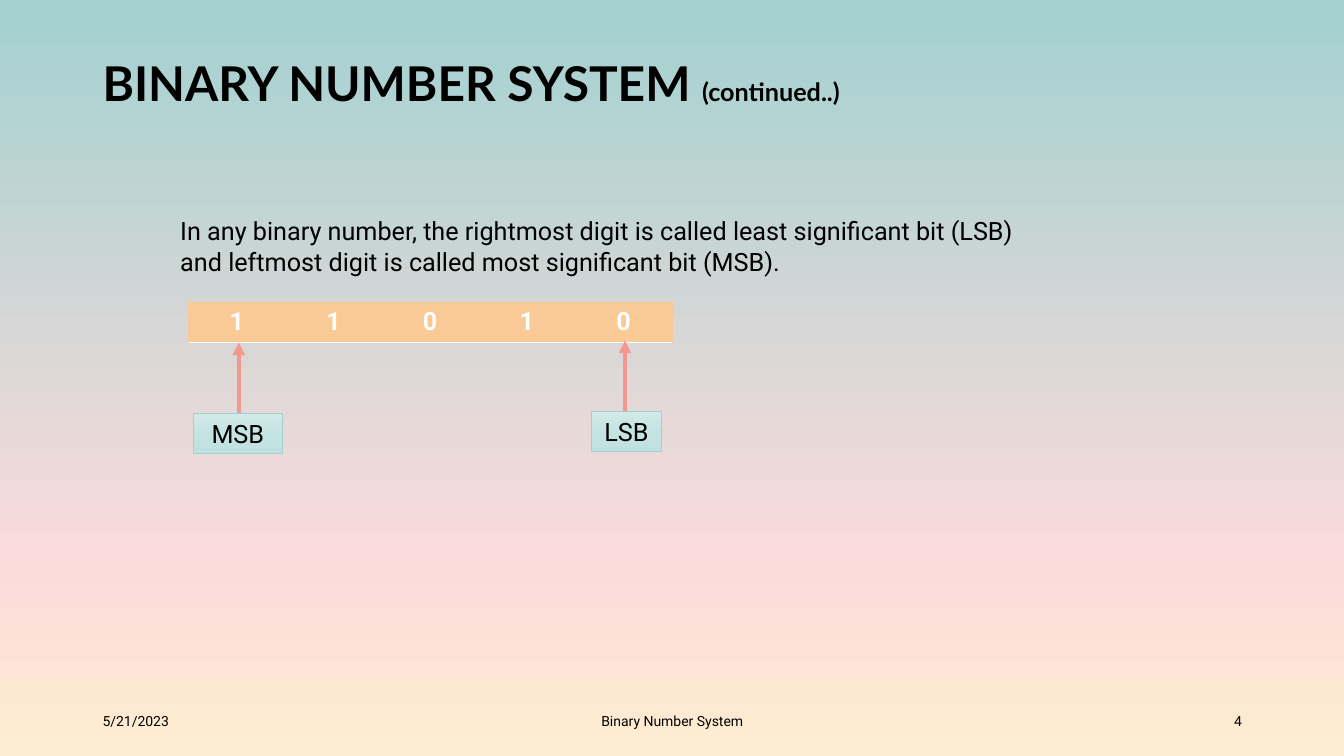
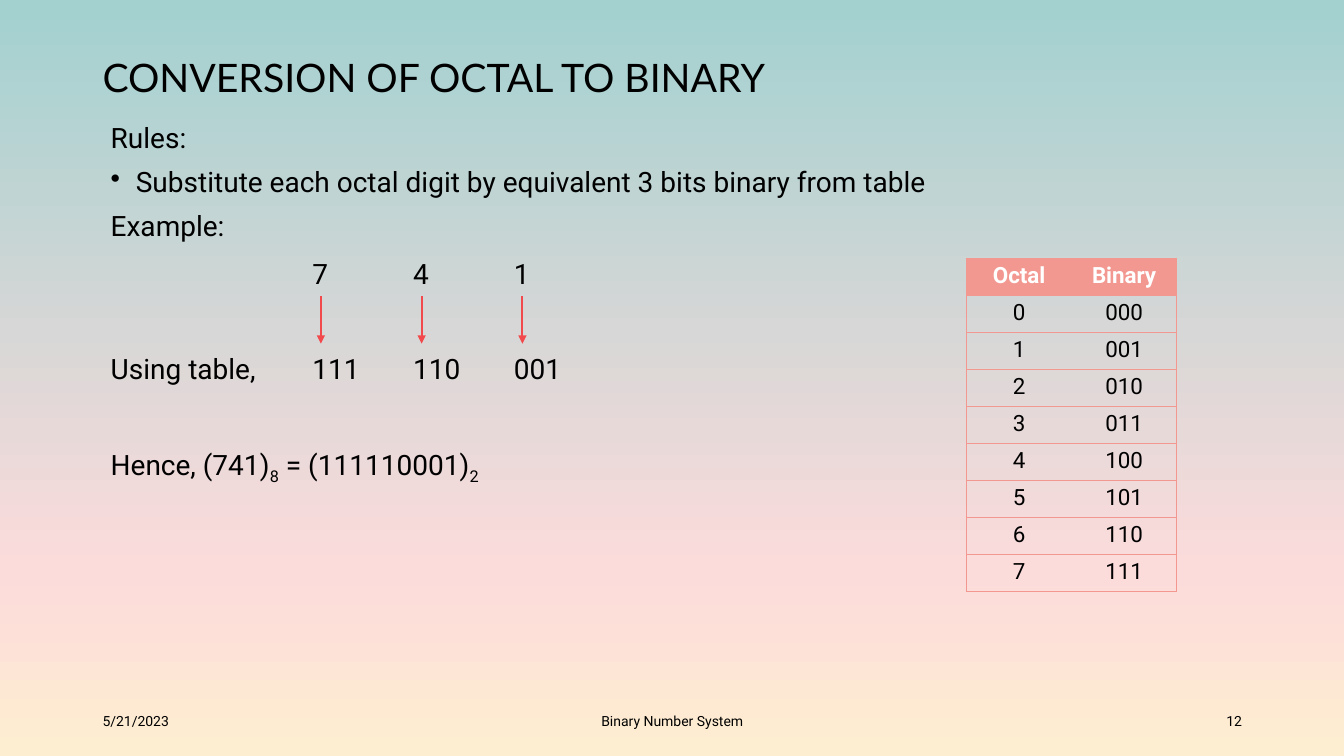
import pptx
import pptx.util
from pptx.dml.color import RGBColor
from pptx.enum.shapes import MSO_CONNECTOR, MSO_SHAPE
from pptx.enum.text import MSO_ANCHOR, PP_ALIGN
from pptx.oxml import parse_xml
from pptx.oxml.ns import nsdecls, qn
from pptx.util import Pt


class Theme:
    heading, text = "Lato", "Roboto"
    ink, white = "000000", "FFFFFF"
    coral, red, orange, teal = "F39891", "F2494C", "F9C996", "9FD1D0"
    backdrop = [(1, "A3D1D0"), (75, "FCDBDB"), (100, "FEEED1")]
    label = [(0, "D2E9E9"), (50, "C6E3E3"), (100, "BEE1E0")]
    footer_size, cell_size, note_size, body_size = 10, 16, 18, 20
    title_size, big_title_size = 28, 34.2
    margin, inset = 66.2, 7.2


FOOTERS = [  # left, width, alignment
    (Theme.margin, 216, PP_ALIGN.LEFT),
    (318.2, 324, PP_ALIGN.CENTER),
    (678.2, 216, PP_ALIGN.RIGHT),
]
DATE, SUBJECT = "5/21/2023", "Binary Number System"

BIT_TITLE = [("BINARY NUMBER SYSTEM ", {}), ("(continued..)", {"size": Theme.note_size})]
BIT_NOTE = ("In any binary number, the rightmost digit is called least significant bit (LSB) "
            "and leftmost digit is called most significant bit (MSB).")
BITS = [["1", "1", "0", "1", "0"]]
BIT_LABELS = [  # text, left, top, width, arrow x
    ("LSB", 422.6, 293.8, 49.7, 446.4),
    ("MSB", 138.2, 295.2, 63.4, 170.6),
]
BIT_ARROW_LENGTH = 50.5

OCTAL_TITLE = "CONVERSION OF OCTAL TO BINARY"
BODY_LEFT = 72
TABS = [144, 216, 288]
WIDE_GAP = 44
RULES = [  # content, paragraph options
    ("Rules:", {"leading": 0.9}),
    ("Substitute each octal digit by equivalent 3 bits binary from table",
     {"leading": 0.9, "bullet": True}),
    ("Example:", {"leading": 0.9}),
    ("\t7\t4\t1", {"tabs": TABS}),
    ("Using table,\t111\t110\t001", {"tabs": TABS, "before": WIDE_GAP}),
    ([("Hence, (741)", {}), ("8", {"baseline": -25}), (" = (111110001)", {}),
      ("2", {"baseline": -25})], {"before": WIDE_GAP}),
]
OCTAL_ROWS = [["Octal", "Binary"]] + [[str(n), f"{n:03b}"] for n in range(8)]


def rgb(value):
    return RGBColor.from_string(value)


def add_xml(parent, tag, body="", **attributes):
    listed = " ".join(f'{key}="{value}"' for key, value in attributes.items())
    element = parse_xml(f'<a:{tag} {nsdecls("a")} {listed}>{body}</a:{tag}>')
    parent.append(element)
    return element


def set_gradient(fill, owner, stops):
    """Fill from top to bottom; owner is the element that holds the fill."""
    fill.gradient()
    fill.gradient_angle = 270
    stop_list = next(owner.iter(qn("a:gsLst")))
    for stop in list(stop_list):
        stop_list.remove(stop)
    for position, color in stops:
        add_xml(stop_list, "gs", f'<a:srgbClr val="{color}"/>', pos=position * 1000)


def write(para, content, size, font=Theme.text, color=Theme.ink, bold=False,
          align=PP_ALIGN.LEFT, leading=1.0, before=0, bullet=False, tabs=()):
    """Content is a string, or a list of (text, run options)."""
    properties = para._p.get_or_add_pPr()
    if bullet:
        properties.set("marL", str(Pt(18)))
        properties.set("indent", str(Pt(-18)))
        add_xml(properties, "buChar", char="•")
    if tabs:
        stops = "".join(f'<a:tab pos="{Pt(tab)}" algn="l"/>' for tab in tabs)
        add_xml(properties, "tabLst", stops)
    para.alignment, para.line_spacing, para.space_before = align, leading, Pt(before)
    para.font.name, para.font.size, para.font.bold = font, Pt(size), bold
    para.font.color.rgb = rgb(color)
    for text, options in [(content, {})] if isinstance(content, str) else content:
        span = para.add_run()
        span.text = text
        if "size" in options:
            span.font.size = Pt(options["size"])
        if "baseline" in options:
            span.font._element.set("baseline", str(options["baseline"] * 1000))


def add_text(page, left, top, width, height, paragraphs, anchor=MSO_ANCHOR.TOP, **style):
    box = page.shapes.add_textbox(Pt(left), Pt(top), Pt(width), Pt(height))
    frame = box.text_frame
    frame.word_wrap, frame.vertical_anchor = True, anchor
    for index, (content, options) in enumerate(paragraphs):
        para = frame.add_paragraph() if index else frame.paragraphs[0]
        write(para, content, **{**style, **options})


def add_page(deck, title, number, width, height, size, bold=False):
    page = deck.slides.add_slide(deck.slide_layouts[6])
    add_text(page, Theme.margin, 28.8, width, height, [(title, {})], MSO_ANCHOR.MIDDLE,
             size=size, font=Theme.heading, bold=bold, leading=0.9)
    for text, (left, span, align) in zip((DATE, SUBJECT, str(number)), FOOTERS):
        add_text(page, left, 500.4, span, 28.8, [(text, {})], MSO_ANCHOR.MIDDLE,
                 size=Theme.footer_size, align=align)
    return page


def add_arrow(page, x, start, end, color, weight):
    arrow = page.shapes.add_connector(MSO_CONNECTOR.STRAIGHT, Pt(x), Pt(start), Pt(x), Pt(end))
    arrow.line.color.rgb, arrow.line.width = rgb(color), Pt(weight)
    add_xml(arrow.line._get_or_add_ln(), "tailEnd", type="triangle")
    add_xml(arrow._element.spPr, "effectLst")


def set_borders(cell, borders):
    """Borders maps L, R, T and B to (color, weight)."""
    properties = cell._tc.get_or_add_tcPr()
    sides = [side for side in "LRTB" if side in borders]
    for index, side in enumerate(sides):
        color, weight = borders[side]
        line = add_xml(properties, f"ln{side}",
                       f'<a:solidFill><a:srgbClr val="{color}"/></a:solidFill>', w=Pt(weight))
        properties.insert(index, line)


def add_grid(page, rows, left, top, column, height, size, head_fill, edge, base):
    """Table with a filled head row, side edges, and lines between and under rows."""
    count = len(rows[0])
    frame = page.shapes.add_table(len(rows), count, Pt(left), Pt(top),
                                  Pt(column * count), Pt(height * len(rows)))
    table = frame.table
    table.horz_banding = table.first_row = False
    no_grid = "{2D5ABB26-0587-4C30-8999-92F81FD0307C}"
    next(table._tbl.iter(qn("a:tableStyleId"))).text = no_grid
    for r, row in enumerate(rows):
        table.rows[r].height = Pt(height)
        for c, text in enumerate(row):
            table.columns[c].width = Pt(column)
            cell = table.cell(r, c)
            head = r == 0
            write(cell.text_frame.paragraphs[0], text, size, bold=head,
                  color=Theme.white if head else Theme.ink, align=PP_ALIGN.CENTER)
            if head:
                cell.fill.solid()
                cell.fill.fore_color.rgb = rgb(head_fill)
            else:
                cell.fill.background()
            borders = {"T": edge if head else base, "B": base}
            if c == 0:
                borders["L"] = edge
            if c == count - 1:
                borders["R"] = edge
            set_borders(cell, borders)


def add_label(page, text, left, top, width):
    box = page.shapes.add_shape(MSO_SHAPE.RECTANGLE, Pt(left), Pt(top), Pt(width), Pt(28.8))
    box.shadow.inherit = False
    set_gradient(box.fill, box._element.spPr, Theme.label)
    box.line.color.rgb, box.line.width = rgb(Theme.teal), Pt(0.5)
    box.text_frame.word_wrap = False
    box.text_frame.vertical_anchor = MSO_ANCHOR.TOP
    write(box.text_frame.paragraphs[0], text, Theme.note_size, align=PP_ALIGN.CENTER)


def build_bits_page(deck):
    page = add_page(deck, BIT_TITLE, 4, 604.8, 64.8, Theme.big_title_size, bold=True)
    add_text(page, 121.7, 150.5, 616.3, 51, [(BIT_NOTE, {})], size=Theme.note_size)
    add_grid(page, BITS, 134.6, 216, 69.1, 28.8, Theme.note_size, Theme.orange,
             edge=(Theme.orange, 0.5), base=(Theme.white, 1))
    for text, left, top, width, arrow_x in BIT_LABELS:
        add_arrow(page, arrow_x, top, top - BIT_ARROW_LENGTH, Theme.coral, 3)
        add_label(page, text, left, top, width)


def build_octal_page(deck):
    page = add_page(deck, OCTAL_TITLE, 12, 828, 56.2, Theme.title_size)
    add_text(page, BODY_LEFT, 85, 815.8, 401.8, RULES, size=Theme.body_size, before=10)
    rule = (Theme.coral, 0.5)
    add_grid(page, OCTAL_ROWS, 690.5, 184.3, 75, 25.8, Theme.cell_size, Theme.coral,
             edge=rule, base=rule)
    half_digit = 6
    for tab in TABS:
        add_arrow(page, BODY_LEFT + Theme.inset + tab + half_digit, 211.7, 245.5, Theme.red, 1.5)


def main():
    deck = pptx.Presentation()
    deck.slide_width, deck.slide_height = Pt(960), Pt(540)
    master = deck.slide_master
    set_gradient(master.background.fill, master._element, Theme.backdrop)
    build_bits_page(deck)
    build_octal_page(deck)
    deck.save("out.pptx")


if __name__ == "__main__":
    main()
